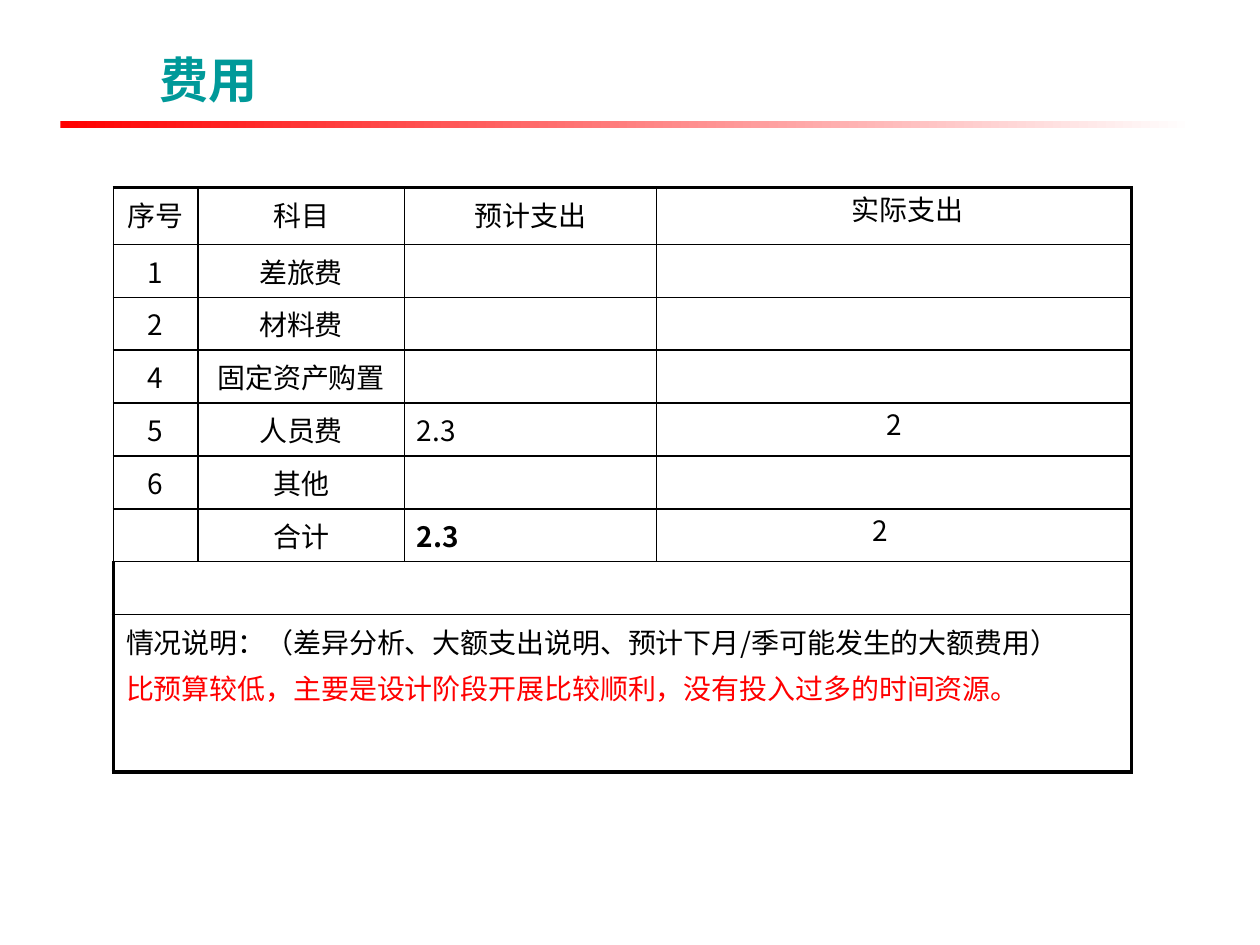
import pptx
import pptx.util
import pptx.dml.color
import pptx.enum.shapes
import pptx.enum.text
import pptx.oxml
import pptx.oxml.ns
import lxml.etree
import dataclasses


@dataclasses.dataclass(frozen=True)
class Theme:
    ink: str = "000000"
    accent: str = "009999"
    alert: str = "FF0000"
    paper: str = "FFFFFF"
    latin: str = "Arial"
    chinese: str = "Noto Sans CJK SC"
    title_size: float = 28
    body_size: float = 16
    thin: float = 1
    thick: float = 2.25


class Page:
    columns = 100
    rows = 75

    def __init__(self, deck, theme):
        self.theme = theme
        self.unit_x = deck.slide_width / self.columns
        self.unit_y = deck.slide_height / self.rows
        self.slide = deck.slides.add_slide(deck.slide_layouts[6])

    def box(self, left, top, width, height):
        return (round(left * self.unit_x), round(top * self.unit_y),
                round(width * self.unit_x), round(height * self.unit_y))

    def style(self, paragraph, size, color, font, bold=False):
        for run in paragraph.runs:
            run.font.size = pptx.util.Pt(size)
            run.font.bold = bold
            run.font.name = font
            run.font.color.rgb = pptx.dml.color.RGBColor.from_string(color)
            east_asian = lxml.etree.SubElement(run.font._element, pptx.oxml.ns.qn("a:ea"))
            east_asian.set("typeface", self.theme.chinese)

    def title(self, text, *place):
        heading = self.slide.shapes.add_textbox(*self.box(*place)).text_frame
        heading.word_wrap = True
        heading.vertical_anchor = pptx.enum.text.MSO_ANCHOR.BOTTOM
        heading.text = text
        self.style(heading.paragraphs[0], self.theme.title_size,
                   self.theme.accent, self.theme.latin, True)

    def fading_rule(self, *place):
        rule = self.slide.shapes.add_shape(
            pptx.enum.shapes.MSO_SHAPE.RECTANGLE, *self.box(*place))
        rule.shadow.inherit = False
        rule.line.fill.background()
        rule.fill.gradient()
        rule.fill.gradient_angle = 0
        for stop, color in zip(rule.fill.gradient_stops, (self.theme.alert, self.theme.paper)):
            stop.color.rgb = pptx.dml.color.RGBColor.from_string(color)

    def table(self, left, top, widths, heights):
        place = self.box(left, top, sum(widths), sum(heights))
        grid = self.slide.shapes.add_table(len(heights), len(widths), *place).table
        grid.first_row = grid.horz_banding = False
        for column, width in zip(grid.columns, widths):
            column.width = round(width * self.unit_x)
        for row, height in zip(grid.rows, heights):
            row.height = round(height * self.unit_y)
        return grid

    def borders(self, cell, **weights):
        properties = cell._tc.get_or_add_tcPr()
        for side, weight in weights.items():
            properties.append(pptx.oxml.parse_xml(
                f'<a:ln{side} {pptx.oxml.ns.nsdecls("a")} w="{pptx.util.Pt(weight)}">'
                f'<a:solidFill><a:srgbClr val="{self.theme.ink}"/></a:solidFill></a:ln{side}>'))
        cell.fill.background()

    def cell_text(self, cell, text, centred=True, bold=False, colors=None):
        cell.text_frame.text = text
        colors = colors or [self.theme.ink]
        for paragraph, color in zip(cell.text_frame.paragraphs, colors):
            paragraph.space_before = pptx.util.Pt(0.2 * self.theme.body_size)
            if centred:
                paragraph.alignment = pptx.enum.text.PP_ALIGN.CENTER
            self.style(paragraph, self.theme.body_size, color, self.theme.chinese, bold)

    def margins(self, cell, left=0, right=0):
        cell.margin_left = round(left * self.unit_x)
        cell.margin_right = round(right * self.unit_x)
        cell.margin_top = cell.margin_bottom = 0


deck = pptx.Presentation()
deck.slide_width = pptx.util.Inches(10)
deck.slide_height = pptx.util.Inches(7.5)
theme = Theme()
page = Page(deck, theme)

page.fading_rule(4.8, 9.6, 90, 0.6)
page.title("费用", 11.7, 2.8, 83.5, 6.3)

expenses = [
    ("序号", "科目", "预计支出", "实际支出"),
    ("1", "差旅费", "", ""),
    ("2", "材料费", "", ""),
    ("4", "固定资产购置", "", ""),
    ("5", "人员费", "2.3", "2"),
    ("6", "其他", "", ""),
    ("", "合计", "2.3", "2"),
]
explanation = ("情况说明：（差异分析、大额支出说明、预计下月/季可能发生的大额费用）\n"
               "比预算较低，主要是设计阶段开展比较顺利，没有投入过多的时间资源。")
widths = [6.7, 16.4, 20, 37.7]
heights = [4.5] + [4.2] * 7 + [12.5]
total_row = len(expenses) - 1
last_row, last_column = len(heights) - 1, len(widths) - 1
budget = page.table(9, 14.9, widths, heights)

for r in range(len(heights)):
    spanned = r > total_row
    for c in range(len(widths)):
        page.borders(budget.cell(r, c),
                     L=theme.thick if spanned and c == 0 else theme.thin,
                     R=theme.thick if spanned or c == last_column else theme.thin,
                     T=theme.thick if r == 0 else theme.thin,
                     B=theme.thick if r == last_row else theme.thin)
    if spanned:
        budget.cell(r, 0).merge(budget.cell(r, last_column))

for r, entries in enumerate(expenses):
    for c, entry in enumerate(entries):
        if entry:
            page.cell_text(budget.cell(r, c), entry, centred=c != 2 or r == 0,
                           bold=c == 2 and r == total_row)
    page.margins(budget.cell(r, last_column), left=2.2 if r == 0 else 0,
                 right=2.2 if r == total_row else 0)

page.cell_text(budget.cell(last_row, 0), explanation, centred=False,
               colors=[theme.ink, theme.alert])

deck.save("out.pptx")
